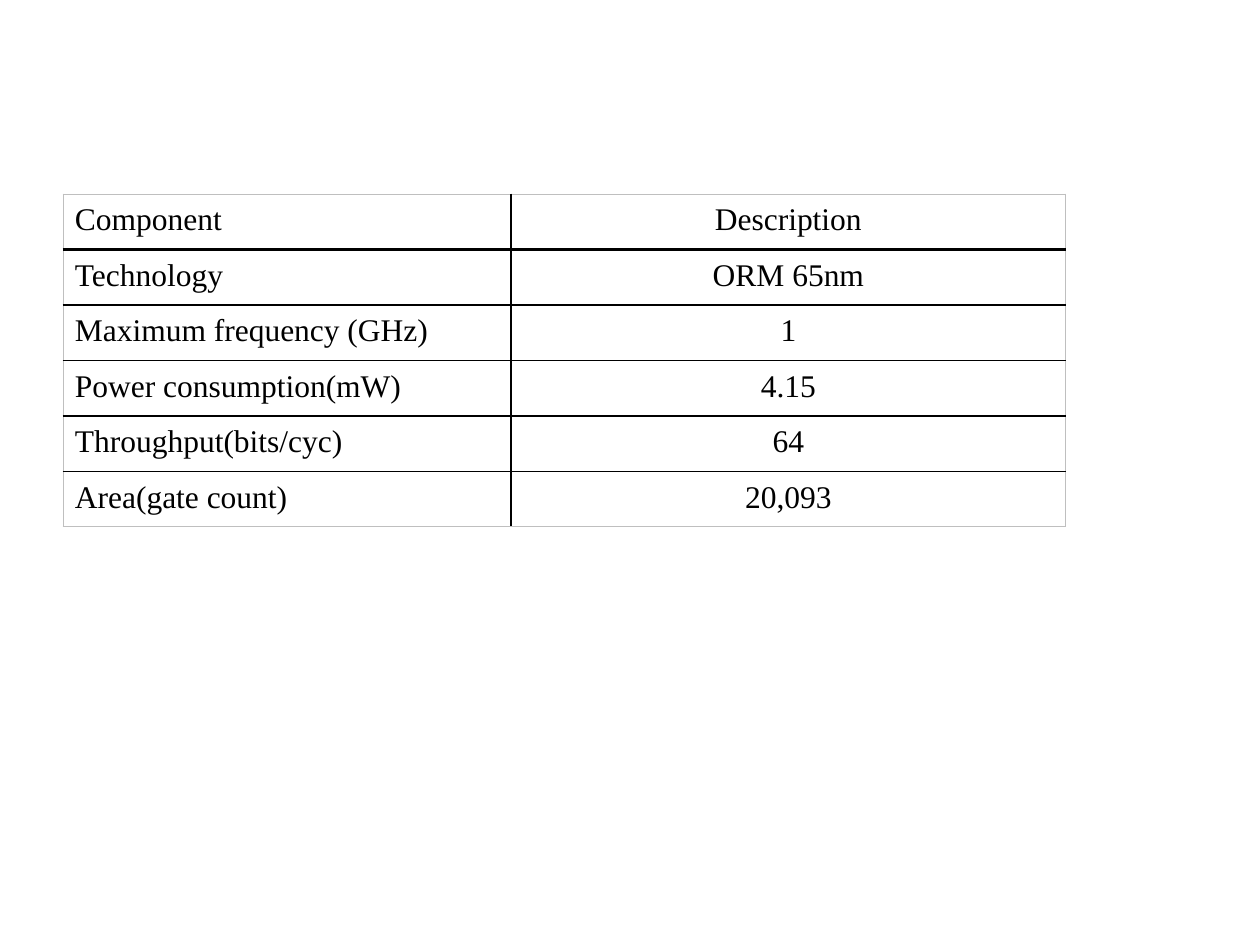
from lxml.etree import SubElement
from pptx import Presentation
from pptx.dml.color import RGBColor
from pptx.enum.text import MSO_ANCHOR, PP_ALIGN
from pptx.oxml.ns import qn
from pptx.util import Pt

# Content
ROWS = [
    ("Component", "Description"),
    ("Technology", "ORM 65nm"),
    ("Maximum frequency (GHz)", "1"),
    ("Power consumption(mW)", "4.15"),
    ("Throughput(bits/cyc)", "64"),
    ("Area(gate count)", "20,093"),
]
ALIGNS = (PP_ALIGN.LEFT, PP_ALIGN.CENTER)
COLORS = {"ink": "000000", "edge": "BFBFBF"}
FONT = "Times New Roman"

# Layout in px, 126 to the inch
PX = 914400 // 126
SLIDE_W, SLIDE_H = 1260, 945
LEFT, TOP = 63, 194
COL_WIDTHS = (448, 555)
ROW_H, INSET = 55, 12
THIN, HEADER_RULE, EDGE = 1, 2.25, 0.5


def add_border(cell, side, width, color):
    ln = SubElement(cell._tc.get_or_add_tcPr(), qn(f"a:{side}"), w=str(Pt(width)))
    fill = SubElement(ln, qn("a:solidFill"))
    SubElement(fill, qn("a:srgbClr"), val=COLORS[color])


def set_borders(cell, row, col):
    outer = {"lnL": col == 0, "lnR": col == len(COL_WIDTHS) - 1,
             "lnT": row == 0, "lnB": row == len(ROWS) - 1}
    for side, is_outer in outer.items():
        under_header = (row, side) in ((0, "lnB"), (1, "lnT"))
        if is_outer:
            add_border(cell, side, EDGE, "edge")
        else:
            add_border(cell, side, HEADER_RULE if under_header else THIN, "ink")


def fill_cell(cell, text, align):
    cell.margin_left = cell.margin_right = INSET * PX
    cell.margin_top = cell.margin_bottom = INSET * PX
    cell.vertical_anchor = MSO_ANCHOR.BOTTOM
    p = cell.text_frame.paragraphs[0]
    p.alignment = align
    p.line_spacing = Pt(18)
    r = p.add_run()
    r.text = text
    r.font.name = FONT
    r.font.size = Pt(18)
    r.font.bold = False
    r.font.color.rgb = RGBColor.from_string(COLORS["ink"])


def main():
    prs = Presentation()
    prs.slide_width, prs.slide_height = SLIDE_W * PX, SLIDE_H * PX
    s = prs.slides.add_slide(prs.slide_layouts[6])

    # Specification table
    frame = s.shapes.add_table(len(ROWS), len(COL_WIDTHS), LEFT * PX, TOP * PX,
                               sum(COL_WIDTHS) * PX, len(ROWS) * ROW_H * PX)
    table = frame.table
    table.first_row = table.horz_banding = False
    for column, width in zip(table.columns, COL_WIDTHS):
        column.width = width * PX
    for i, texts in enumerate(ROWS):
        table.rows[i].height = ROW_H * PX
        for j, text in enumerate(texts):
            cell = table.cell(i, j)
            fill_cell(cell, text, ALIGNS[j])
            set_borders(cell, i, j)
            cell.fill.background()

    prs.save("out.pptx")


if __name__ == "__main__":
    main()
